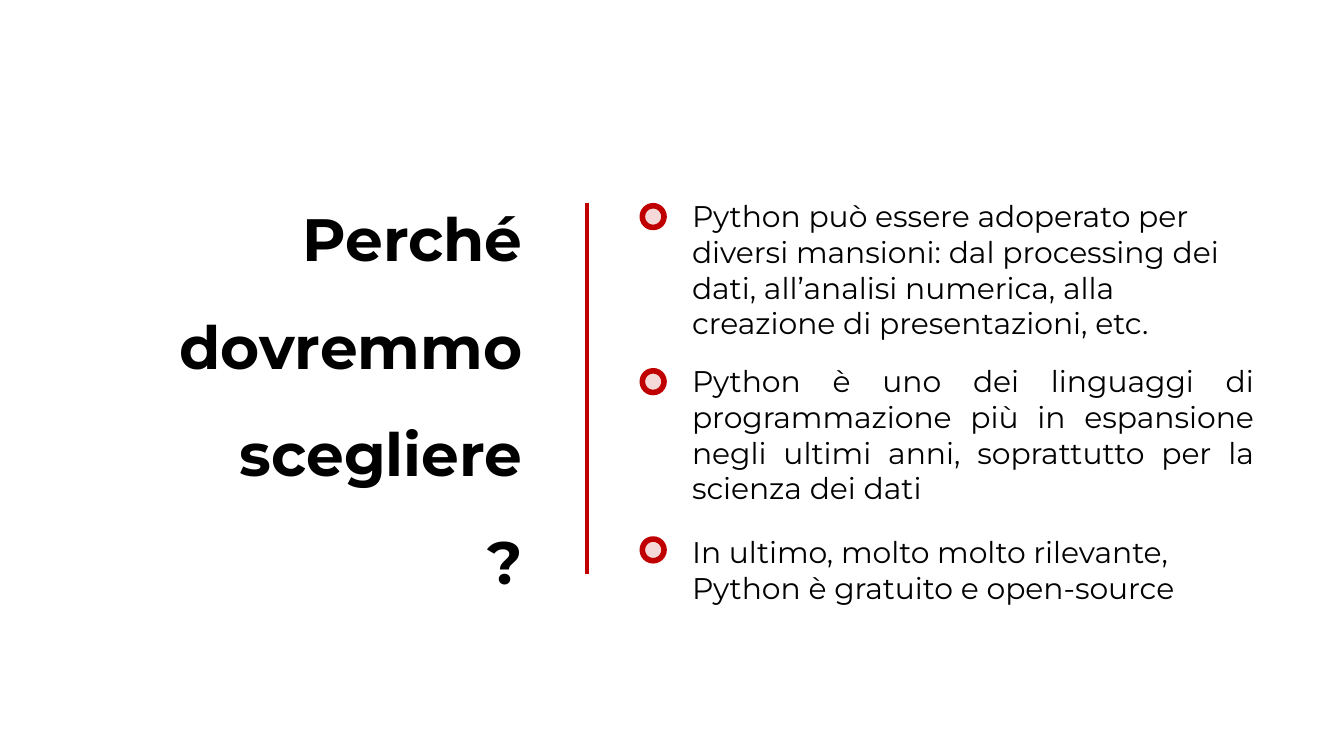
import pptx
import pptx.util
from lxml import etree
from pptx.dml.color import RGBColor
from pptx.enum.shapes import MSO_CONNECTOR, MSO_SHAPE
from pptx.enum.text import MSO_AUTO_SIZE, PP_ALIGN
from pptx.oxml.ns import qn

Cm, Pt = pptx.util.Cm, pptx.util.Pt


def rgb(value):
    return RGBColor.from_string(value)


class SlideBuilder:
    FONT = "Montserrat"
    BLACK = "000000"
    RED = "C00000"
    DOT = 0.41

    def __init__(self, slide):
        self.s = slide

    def text(self, x, y, w, h, *paragraphs, size=16, bold=False,
             align=PP_ALIGN.LEFT, spacing=None):
        tf = self.s.shapes.add_textbox(Cm(x), Cm(y), Cm(w), Cm(h)).text_frame
        tf.word_wrap = True
        tf.auto_size = MSO_AUTO_SIZE.SHAPE_TO_FIT_TEXT
        for i, content in enumerate(paragraphs):
            p = tf.add_paragraph() if i else tf.paragraphs[0]
            p.alignment = align
            p.line_spacing = spacing
            r = p.add_run()
            r.text = content
            r.font.name = self.FONT
            r.font.size = Pt(size)
            r.font.bold = bold
            r.font.color.rgb = rgb(self.BLACK)

    def dot(self, x, y, opacity=15):
        """Ring marker with a see-through centre; opacity in percent."""
        sp = self.s.shapes.add_shape(
            MSO_SHAPE.OVAL, Cm(x), Cm(y), Cm(self.DOT), Cm(self.DOT))
        sp.shadow.inherit = False
        sp.fill.solid()
        sp.fill.fore_color.rgb = rgb(self.RED)
        color = sp.fill._xPr.find(qn("a:solidFill"))[0]
        etree.SubElement(color, qn("a:alpha"), val=str(opacity * 1000))
        sp.line.color.rgb = rgb(self.RED)
        sp.line.width = Pt(3)

    def vertical_line(self, x, top, bottom):
        line = self.s.shapes.add_connector(
            MSO_CONNECTOR.STRAIGHT, Cm(x), Cm(top), Cm(x), Cm(bottom))
        line.line.color.rgb = rgb(self.RED)
        line.line.width = Pt(2.25)
        etree.SubElement(line._element.spPr, qn("a:effectLst"))


REASONS = [  # text top, text height, dot top, alignment, text
    (3.61, 3.0, 3.89, PP_ALIGN.LEFT,
     "Python può essere adoperato per diversi mansioni: dal processing dei "
     "dati, all’analisi numerica, alla creazione di presentazioni, etc."),
    (6.73, 3.0, 7.01, PP_ALIGN.JUSTIFY,
     "Python è uno dei linguaggi di programmazione più in espansione negli "
     "ultimi anni, soprattutto per la scienza dei dati"),
    (9.96, 1.63, 10.19, PP_ALIGN.LEFT,
     "In ultimo, molto molto rilevante, Python è gratuito e open-source"),
]


def main():
    prs = pptx.Presentation()
    prs.slide_width, prs.slide_height = Cm(25.4), Cm(14.29)
    b = SlideBuilder(prs.slides.add_slide(prs.slide_layouts[6]))

    b.text(0.48, 3.02, 9.65, 8.23, "Perché dovremmo scegliere", "?",
           size=32, bold=True, align=PP_ALIGN.RIGHT, spacing=1.5)
    b.vertical_line(11.1, 3.84, 10.85)
    for top, height, dot_top, align, reason in REASONS:
        b.dot(12.14, dot_top)
        b.text(12.83, top, 11.13, height, reason, align=align)

    prs.save("out.pptx")


if __name__ == "__main__":
    main()
